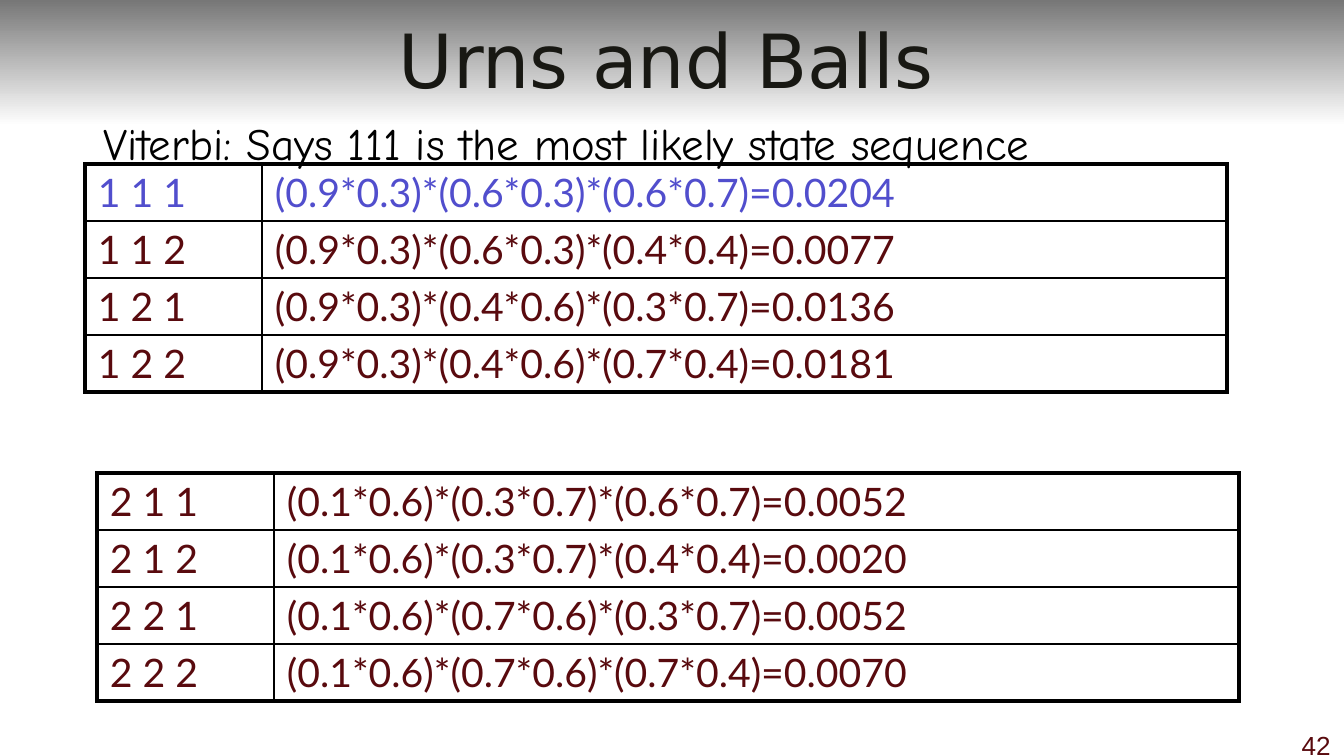
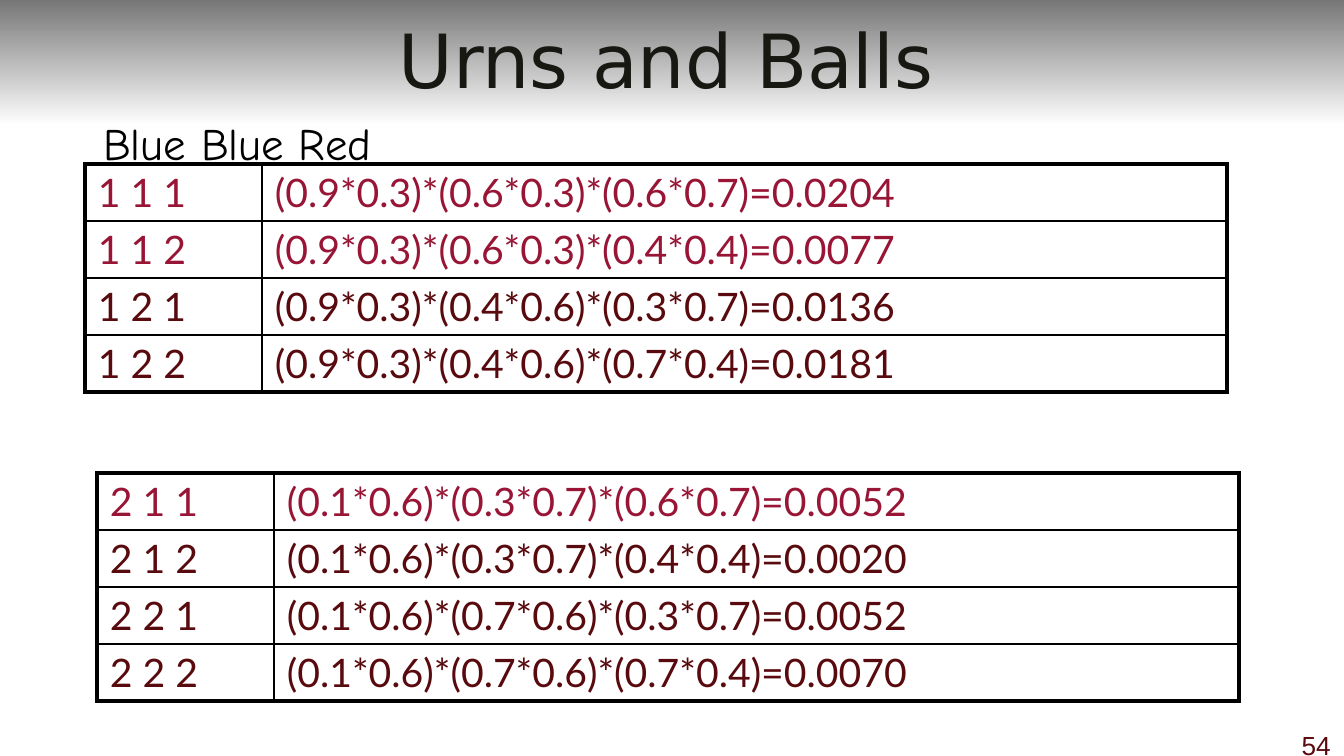
from pptx import Presentation
from pptx import util as u
from pptx.dml.color import RGBColor
from pptx.enum import shapes, text
from pptx.oxml import parse_xml
from pptx.oxml.ns import nsdecls

EMU_PER_PX = 914400 / 134.4
COLORS = {
    "band_top": "777777",
    "white": "FFFFFF",
    "title": "181813",
    "black": "000000",
    "maroon": "590A0E",
    "blue": "514ECD",
    "crimson": "981535",
}
COLUMNS = (177, 965)
ROW_HEIGHT = 57
THICK, THIN = 2.25, 1
URN_1_FIRST = [
    ("1 1 1", "(0.9*0.3)*(0.6*0.3)*(0.6*0.7)=0.0204"),
    ("1 1 2", "(0.9*0.3)*(0.6*0.3)*(0.4*0.4)=0.0077"),
    ("1 2 1", "(0.9*0.3)*(0.4*0.6)*(0.3*0.7)=0.0136"),
    ("1 2 2", "(0.9*0.3)*(0.4*0.6)*(0.7*0.4)=0.0181"),
]
URN_2_FIRST = [
    ("2 1 1", "(0.1*0.6)*(0.3*0.7)*(0.6*0.7)=0.0052"),
    ("2 1 2", "(0.1*0.6)*(0.3*0.7)*(0.4*0.4)=0.0020"),
    ("2 2 1", "(0.1*0.6)*(0.7*0.6)*(0.3*0.7)=0.0052"),
    ("2 2 2", "(0.1*0.6)*(0.7*0.6)*(0.7*0.4)=0.0070"),
]


def px(n):
    return u.Emu(round(n * EMU_PER_PX))


def rgb(name):
    return RGBColor.from_string(COLORS[name])


def add_run(p, words, size, font, color):
    r = p.add_run()
    r.text = words
    r.font.size = u.Pt(size)
    r.font.name = font
    r.font.color.rgb = rgb(color)


def add_text(s, box, words, size, font, color, align=text.PP_ALIGN.LEFT,
             anchor=text.MSO_ANCHOR.TOP, wrap=True):
    tf = s.shapes.add_textbox(*map(px, box)).text_frame
    tf.word_wrap = wrap
    if not wrap:
        tf.auto_size = text.MSO_AUTO_SIZE.SHAPE_TO_FIT_TEXT
    tf.vertical_anchor = anchor
    p = tf.paragraphs[0]
    p.alignment = align
    add_run(p, words, size, font, color)


def add_band(s):
    sp = s.shapes.add_shape(shapes.MSO_SHAPE.RECTANGLE, *map(px, (0, 0, 1344, 126)))
    sp.shadow.inherit = False
    sp.line.fill.background()
    sp.fill.gradient()
    sp.fill.gradient_angle = 270
    for stop, position, color in zip(sp.fill.gradient_stops, (0, 1), ("band_top", "white")):
        stop.position = position
        stop.color.rgb = rgb(color)


def set_borders(cell, widths):
    tc_pr = cell._tc.get_or_add_tcPr()
    for side, width in zip("LRTB", widths):
        tc_pr.append(parse_xml(
            f'<a:ln{side} {nsdecls("a")} w="{u.Pt(width)}"><a:solidFill>'
            f'<a:srgbClr val="{COLORS["black"]}"/></a:solidFill></a:ln{side}>'))


def add_sequences(s, left, top, rows, marked, mark_color):
    frame = s.shapes.add_table(len(rows), len(COLUMNS), px(left), px(top),
                               px(sum(COLUMNS)), px(ROW_HEIGHT * len(rows)))
    table = frame.table
    table.first_row = table.horz_banding = False
    for column, width in zip(table.columns, COLUMNS):
        column.width = px(width)
    for i, row in enumerate(rows):
        table.rows[i].height = px(ROW_HEIGHT)
        color = mark_color if row[0] in marked else "maroon"
        for j, words in enumerate(row):
            cell = table.cell(i, j)
            edges = (j == 0, j == len(row) - 1, i == 0, i == len(rows) - 1)
            set_borders(cell, [THICK if edge else THIN for edge in edges])
            cell.fill.background()
            cell.margin_left = cell.margin_right = px(13)
            cell.margin_top = cell.margin_bottom = px(5)
            add_run(cell.text_frame.paragraphs[0], words, 21, "Lato", color)


def add_slide(prs, number, caption, caption_width, marked, mark_color):
    s = prs.slides.add_slide(prs.slide_layouts[6])
    add_band(s)
    add_text(s, (1277, 723, 67, 33), number, 14, "Arial", "maroon",
             align=text.PP_ALIGN.RIGHT)
    add_text(s, (11, 0, 1310, 118), "Urns and Balls", 40, "DejaVu Sans", "title",
             align=text.PP_ALIGN.CENTER, anchor=text.MSO_ANCHOR.MIDDLE)
    add_sequences(s, 85, 164, URN_1_FIRST, marked, mark_color)
    add_sequences(s, 97, 473, URN_2_FIRST, marked, mark_color)
    add_text(s, (90, 109, caption_width, 67), caption, 24, "Comic Neue", "black",
             wrap=False)


def main():
    prs = Presentation()
    prs.slide_width, prs.slide_height = px(1344), px(756)
    add_slide(prs, "42", "Viterbi: Says 111 is the most likely state sequence", 1087,
              {"1 1 1"}, "blue")
    add_slide(prs, "54", "Blue Blue Red", 312, {"1 1 1", "1 1 2", "2 1 1"}, "crimson")
    prs.save("out.pptx")


if __name__ == "__main__":
    main()
